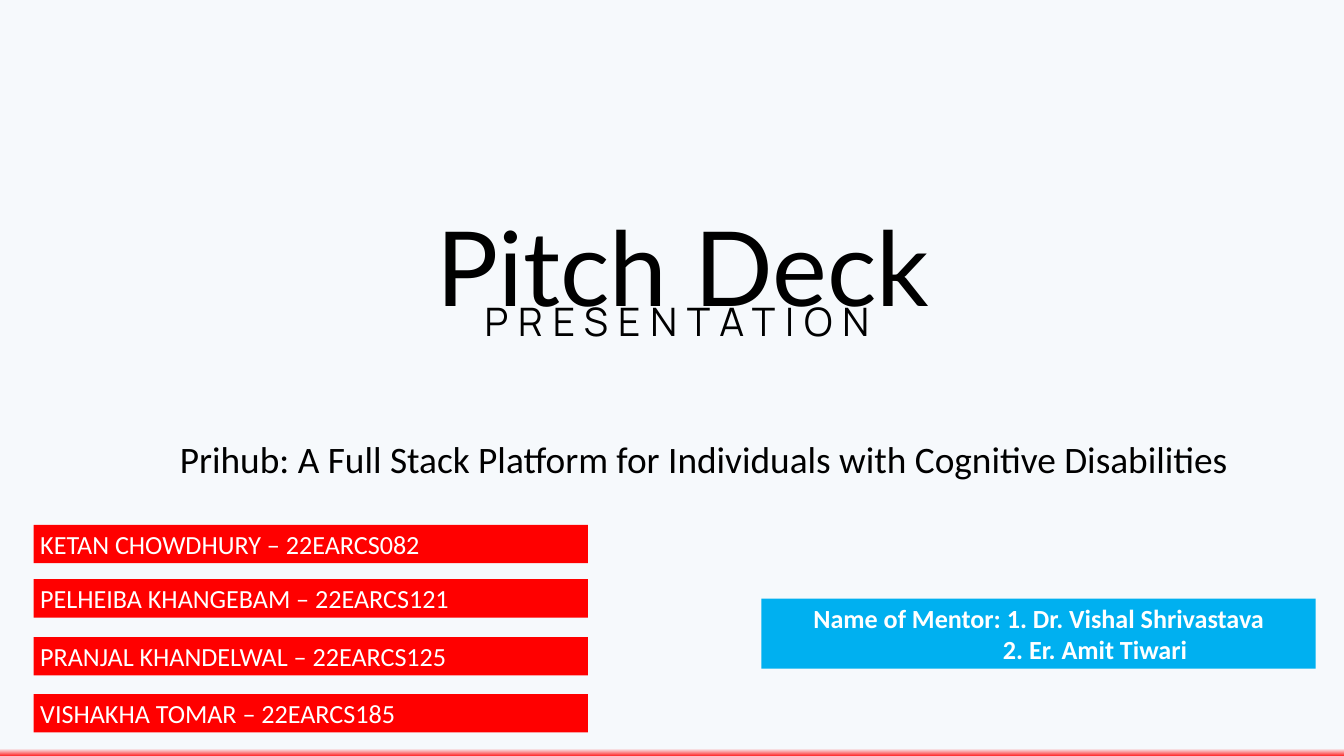
from pptx import Presentation
from pptx import util as u
from pptx.dml.color import RGBColor
from pptx.enum import shapes, text
from pptx.oxml.ns import qn
from lxml import etree

COLORS = {
    "pale": "F6F9FC",
    "glow": "FF2929",
    "black": "000000",
    "white": "FFFFFF",
    "red": "FF0000",
    "blue": "00B0F0",
}
TEAM = [
    (7.81, "KETAN CHOWDHURY – 22EARCS082"),
    (8.62, "PELHEIBA KHANGEBAM – 22EARCS121"),
    (9.48, "PRANJAL KHANDELWAL – 22EARCS125"),
    (10.33, "VISHAKHA TOMAR – 22EARCS185"),
]
MENTORS = ["Name of Mentor: 1. Dr. Vishal Shrivastava", "2. Er. Amit Tiwari"]
LEFT, CENTER = text.PP_ALIGN.LEFT, text.PP_ALIGN.CENTER


def rgb(name):
    return RGBColor.from_string(COLORS[name])


def paint_back(slide):
    """Fill the background pale, with a red glow along the bottom edge."""
    fill = slide.background.fill
    fill.gradient()
    fill.gradient_angle = 270
    stops = zip(fill.gradient_stops, [("pale", 0.99, 22), ("glow", 1, 54)])
    for stop, (name, place, alpha) in stops:
        stop.color.rgb = rgb(name)
        stop.position = place
        tint = stop._gs.find(qn("a:srgbClr"))
        etree.SubElement(tint, qn("a:alpha")).set("val", str(alpha * 1000))


def add_run(para, words, font, size, color, bold=False):
    run = para.add_run()
    run.text = words
    run.font.name = font
    run.font.size = u.Pt(size)
    run.font.color.rgb = rgb(color)
    run.font.bold = bold
    return run


def set_frame(frame, anchor):
    frame.word_wrap = True
    frame.auto_size = text.MSO_AUTO_SIZE.SHAPE_TO_FIT_TEXT
    frame.vertical_anchor = anchor


def add_title(slide, area, words, font, size, lead,
              anchor=text.MSO_ANCHOR.TOP, gap=0):
    """Add a centred line; lead is line height, gap is letter spacing."""
    box = slide.shapes.add_textbox(*map(u.Inches, area))
    frame = box.text_frame
    set_frame(frame, anchor)
    frame.margin_left = frame.margin_right = 0
    frame.margin_top = frame.margin_bottom = 0
    para = frame.paragraphs[0]
    para.alignment = CENTER
    para.line_spacing = u.Pt(lead)
    run = add_run(para, words, font, size, "black")
    if gap:
        run.font._element.set("spc", str(round(gap * 100)))


def add_label(slide, area, color, lines, align=LEFT, bold=False):
    box = slide.shapes.add_shape(shapes.MSO_SHAPE.RECTANGLE,
                                 *map(u.Inches, area))
    box.shadow.inherit = False
    box.fill.solid()
    box.fill.fore_color.rgb = rgb(color)
    box.line.fill.background()
    frame = box.text_frame
    set_frame(frame, text.MSO_ANCHOR.TOP)
    for i, line in enumerate(lines):
        para = frame.add_paragraph() if i else frame.paragraphs[0]
        para.alignment = align
        add_run(para, line, "Calibri", 28, "white", bold)
    return frame


def main():
    deck = Presentation()
    deck.slide_width, deck.slide_height = u.Inches(20), u.Inches(11.25)
    slide = deck.slides.add_slide(deck.slide_layouts[6])
    paint_back(slide)

    add_title(slide, (3.97, 1.75, 12.39, 2.78), "Pitch Deck",
              "Lato", 111, 224.6)
    add_title(slide, (1.2, 4.3, 17.75, 0.82), "PRESENTATION",
              "Manrope", 42, 58.8, gap=10.6)
    add_title(slide, (2, 4.35, 16.95, 2.51),
              "Prihub: A Full Stack Platform for Individuals"
              " with Cognitive Disabilities",
              "Calibri", 40, 224.6, anchor=text.MSO_ANCHOR.MIDDLE)

    for top, member in TEAM:
        add_label(slide, (0.5, top, 8.25, 0.57), "red", [member])
    frame = add_label(slide, (11.33, 8.91, 8.25, 1.04), "blue", MENTORS,
                      CENTER, bold=True)
    indent = frame.paragraphs[1]._p.get_or_add_pPr()
    indent.set("marL", str(u.Inches(1.68)))

    deck.save("out.pptx")


if __name__ == "__main__":
    main()
